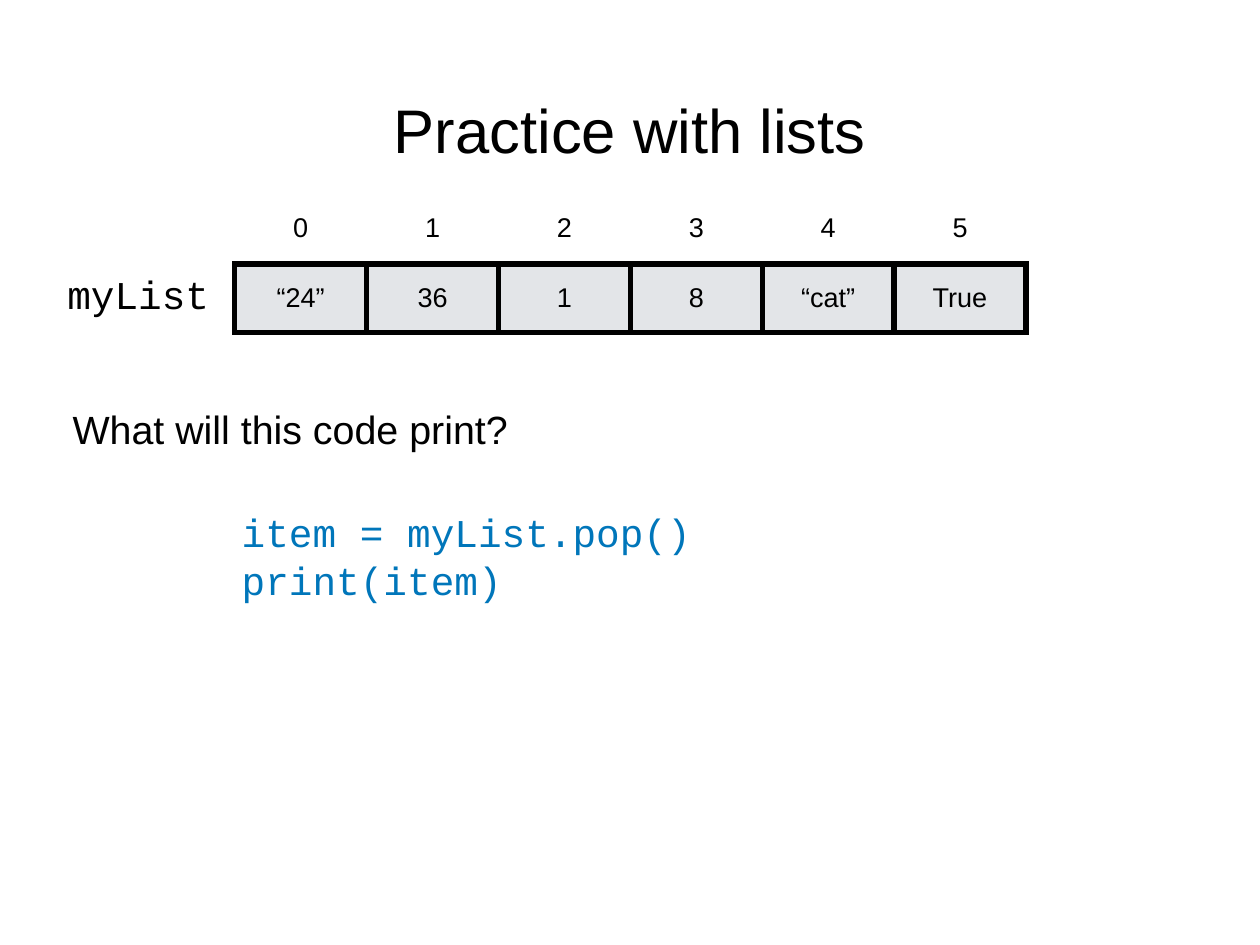
from dataclasses import dataclass

from lxml import etree
from pptx import Presentation
from pptx.dml.color import RGBColor
from pptx.enum.text import MSO_ANCHOR, PP_ALIGN
from pptx.oxml.ns import qn
from pptx.util import Cm, Pt

LEFT, CENTER = PP_ALIGN.LEFT, PP_ALIGN.CENTER
TOP, MIDDLE = MSO_ANCHOR.TOP, MSO_ANCHOR.MIDDLE
BLANK_LAYOUT = 6


@dataclass(frozen=True)
class Theme:
    ink: str = "000000"
    code: str = "0076BA"
    paper: str = "FFFFFF"
    cell: str = "E3E5E8"
    sans: str = "Arial"
    mono: str = "Courier New"
    title_size: int = 50
    body_size: int = 32
    table_size: int = 22
    inset: float = 0.15
    border: int = 5


def write_text(text_frame, text, *, font, size, color, align=LEFT):
    """Write each line of the text as one formatted paragraph."""
    for index, line in enumerate(text.split("\n")):
        paragraph = text_frame.add_paragraph() if index else text_frame.paragraphs[0]
        paragraph.alignment = align
        run = paragraph.add_run()
        run.text = line
        run.font.name = font
        run.font.size = Pt(size)
        run.font.color.rgb = RGBColor.from_string(color)


def set_borders(cell, sides, color, width):
    """Draw solid cell borders; call before filling the cell."""
    properties = cell._tc.get_or_add_tcPr()
    for side in sides:
        line = etree.SubElement(properties, qn(f"a:ln{side}"), w=str(Pt(width)))
        fill = etree.SubElement(line, qn("a:solidFill"))
        etree.SubElement(fill, qn("a:srgbClr"), val=color)


class SlideBuilder:
    def __init__(self, slide, theme):
        self.slide = slide
        self.theme = theme

    def set_margins(self, target):
        inset = Cm(self.theme.inset)
        target.margin_left = target.margin_right = inset
        target.margin_top = target.margin_bottom = inset

    def add_text(self, text, left, top, width, height, anchor=MIDDLE, **text_format):
        box = self.slide.shapes.add_textbox(Cm(left), Cm(top), Cm(width), Cm(height))
        text_frame = box.text_frame
        text_frame.word_wrap = True
        text_frame.vertical_anchor = anchor
        self.set_margins(text_frame)
        write_text(text_frame, text, **text_format)

    def add_list_table(self, values, left, top, column_width, row_heights):
        """Show the list as a row of indexes above a row of bordered values."""
        theme = self.theme
        frame = self.slide.shapes.add_table(
            2, len(values), Cm(left), Cm(top),
            Cm(column_width * len(values)), Cm(sum(row_heights)))
        table = frame.table
        table.first_row = table.horz_banding = False
        for column in table.columns:
            column.width = Cm(column_width)
        for row, height in zip(table.rows, row_heights):
            row.height = Cm(height)
        rows = (
            ([str(index) for index in range(len(values))], "B", theme.paper),
            (values, "LRTB", theme.cell),
        )
        for row_index, (texts, sides, fill) in enumerate(rows):
            for column_index, text in enumerate(texts):
                cell = table.cell(row_index, column_index)
                set_borders(cell, sides, theme.ink, theme.border)
                cell.fill.solid()
                cell.fill.fore_color.rgb = RGBColor.from_string(fill)
                cell.vertical_anchor = MIDDLE
                self.set_margins(cell)
                write_text(cell.text_frame, text, font=theme.sans,
                           size=theme.table_size, color=theme.ink, align=CENTER)


def main():
    presentation = Presentation()
    presentation.slide_width = Cm(36.12)
    presentation.slide_height = Cm(27.1)
    slide = presentation.slides.add_slide(presentation.slide_layouts[BLANK_LAYOUT])
    theme = Theme()
    builder = SlideBuilder(slide, theme)

    builder.add_text("Practice with lists", 2.64, 0.71, 30.84, 5.99,
                     font=theme.sans, size=theme.title_size, color=theme.ink,
                     align=CENTER)
    builder.add_list_table(["“24”", "36", "1", "8", "“cat”", "True"],
                           6.73, 5.54, 3.78, (2.03, 1.96))
    builder.add_text("What will this code print?", 1.93, 11.48, 30.84, 5.99,
                     anchor=TOP, font=theme.sans, size=theme.body_size,
                     color=theme.ink)
    builder.add_text("item = myList.pop()\nprint(item)", 6.78, 14.53, 13.87, 2.82,
                     font=theme.mono, size=theme.body_size, color=theme.code)
    builder.add_text("myList", 1.78, 7.65, 4.6, 1.55,
                     font=theme.mono, size=theme.body_size, color=theme.ink)
    presentation.save("out.pptx")


if __name__ == "__main__":
    main()
